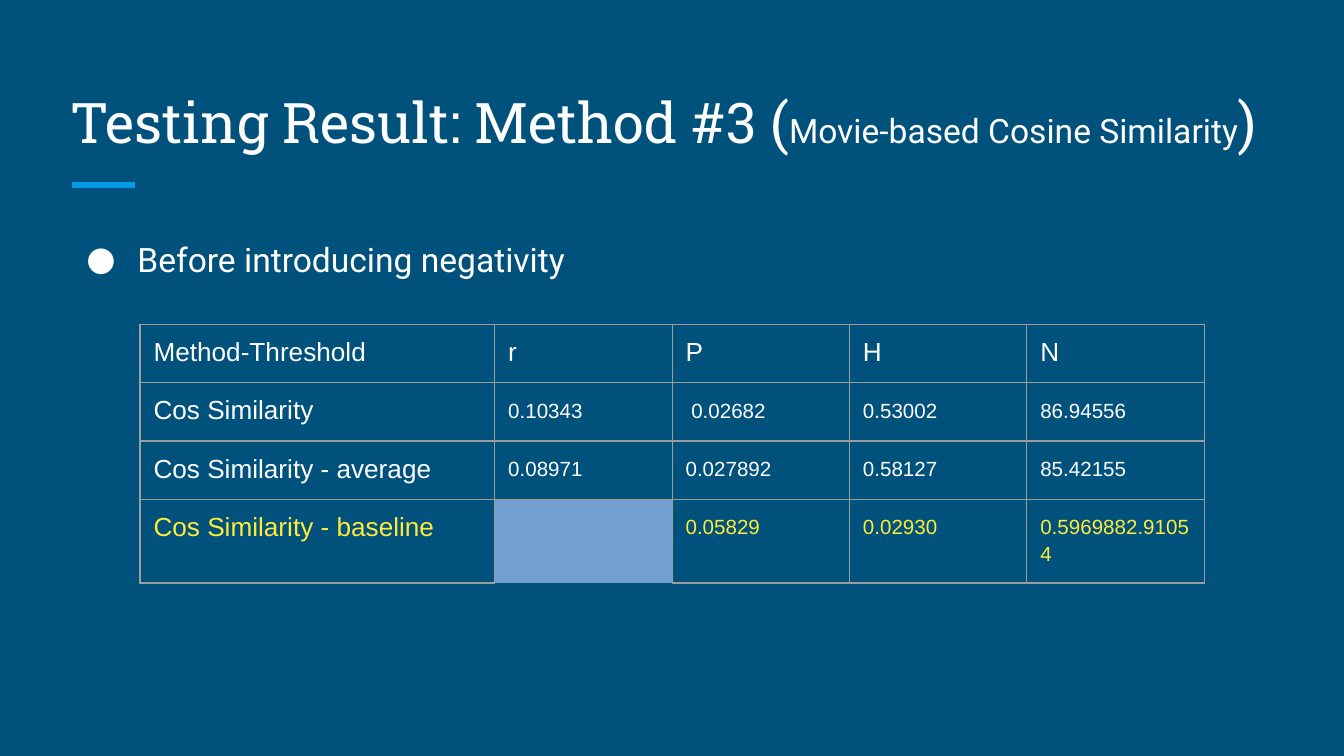
from lxml import etree
from pptx import Presentation
from pptx.dml.color import RGBColor
from pptx.enum.shapes import MSO_CONNECTOR
from pptx.enum.text import MSO_ANCHOR
from pptx.oxml import parse_xml
from pptx.oxml.ns import nsdecls, qn
from pptx.util import Inches, Pt

STRAIGHT = MSO_CONNECTOR.STRAIGHT
TOP, BOTTOM = MSO_ANCHOR.TOP, MSO_ANCHOR.BOTTOM

NAVY = RGBColor(0x00, 0x51, 0x7C)
WHITE = RGBColor(0xFF, 0xFF, 0xFF)
YELLOW = RGBColor(0xFF, 0xEB, 0x38)
ACCENT = RGBColor(0x03, 0x9B, 0xE5)
GRAY = RGBColor(0x9E, 0x9E, 0x9E)

UNIT = Inches(0.1)  # one grid step: 100 columns across the slide
PADDING = Inches(0.1)


def add_text(paragraph, text, font="Arial", size=14, color=WHITE, spacing=None):
    run = paragraph.add_run()
    run.text = text
    run.font.name = font
    run.font.size = Pt(size)
    run.font.color.rgb = color
    if spacing:
        paragraph.line_spacing = spacing


class ResultSlide:
    def __init__(self, presentation):
        self.slide = presentation.slides.add_slide(presentation.slide_layouts[6])
        background = self.slide.background.fill
        background.solid()
        background.fore_color.rgb = NAVY

    @staticmethod
    def grid(*steps):
        return [round(step * UNIT) for step in steps]

    def rule(self, left, top, right, color, width):
        line = self.slide.shapes.add_connector(
            STRAIGHT, *self.grid(left, top, right, top))
        line.line.color.rgb = color
        line.line.width = Pt(width)
        etree.SubElement(line._element.spPr, qn("a:effectLst"))

    def text_area(self, left, top, width, height, anchor=TOP):
        box = self.slide.shapes.add_textbox(*self.grid(left, top, width, height))
        frame = box.text_frame
        frame.word_wrap = True
        frame.vertical_anchor = anchor
        frame.margin_left = frame.margin_right = PADDING
        frame.margin_top = frame.margin_bottom = PADDING
        return frame.paragraphs[0]

    def bullet(self, paragraph, size=18, indent=0.5, hanging=0.38):
        properties = paragraph._p.get_or_add_pPr()
        properties.set("marL", str(Inches(indent)))
        properties.set("indent", str(-Inches(hanging)))
        for part in (f'buClr {nsdecls("a")}><a:srgbClr val="{WHITE}"/></a:buClr>',
                     f'buSzPts {nsdecls("a")} val="{size * 100}"/>',
                     f'buFont {nsdecls("a")} typeface="Roboto"/>',
                     f'buChar {nsdecls("a")} char="●"/>'):
            properties.append(parse_xml("<a:" + part))

    def style_cell(self, cell):
        cell.margin_left = cell.margin_right = PADDING
        cell.margin_top = cell.margin_bottom = PADDING
        properties = cell._tc.get_or_add_tcPr()
        for side in ("lnL", "lnR", "lnT", "lnB"):
            properties.append(parse_xml(
                f'<a:{side} {nsdecls("a")} w="{Pt(0.75)}"><a:solidFill>'
                f'<a:srgbClr val="{GRAY}"/></a:solidFill></a:{side}>'))
        cell.fill.background()

    def table(self, left, top, column_width, row_height, rows):
        columns = len(rows[0]) + 1  # the label takes two columns
        frame = self.slide.shapes.add_table(
            len(rows), columns, *self.grid(
                left, top, column_width * columns, row_height * len(rows)))
        table = frame.table
        table.first_row = table.horz_banding = False
        for r, (label, *values) in enumerate(rows):
            for c in range(columns):
                self.style_cell(table.cell(r, c))
            table.cell(r, 0).merge(table.cell(r, 1))
            # The covered cell must not stretch its row
            covered = table.cell(r, 1).text_frame.paragraphs[0]
            etree.SubElement(covered._p, qn("a:endParaRPr"), sz="1100")
            color = YELLOW if r == len(rows) - 1 else WHITE
            add_text(table.cell(r, 0).text_frame.paragraphs[0], label, color=color)
            value_format = {"size": 11, "spacing": 1.15} if r else {}
            for c, value in enumerate(values, start=2):
                add_text(table.cell(r, c).text_frame.paragraphs[0], value,
                         color=color, **value_format)


RESULTS = [
    ("Method-Threshold", "r", "P", "H", "N"),
    ("Cos Similarity", "0.10343", " 0.02682", "0.53002", "86.94556"),
    ("Cos Similarity - average", "0.08971", "0.027892", "0.58127", "85.42155"),
    ("Cos Similarity - baseline", "0.05829", "0.02930", "0.59698", "82.91054"),
]


def main():
    presentation = Presentation()
    presentation.slide_width = Inches(10)
    presentation.slide_height = presentation.slide_width * 9 // 16
    page = ResultSlide(presentation)

    # Title with its accent rule
    page.rule(5.36, 13.75, 10.04, ACCENT, 3)
    title = page.text_area(4.24, 5, 91.5, 7.5, anchor=BOTTOM)
    add_text(title, "Testing Result: Method #3 (", font="Roboto Slab", size=30)
    add_text(title, "Movie-based Cosine Similarity", font="Roboto", size=18)
    add_text(title, ")", font="Roboto Slab", size=30)

    # Bullet point
    condition = page.text_area(4.24, 16.34, 91.5, 33.7)
    add_text(condition, "Before introducing negativity", font="Roboto", size=18,
             spacing=1.15)
    page.bullet(condition)

    # Scores by method
    page.table(10.42, 24.14, 13.2, 4.16, RESULTS)

    presentation.save("out.pptx")


if __name__ == "__main__":
    main()
